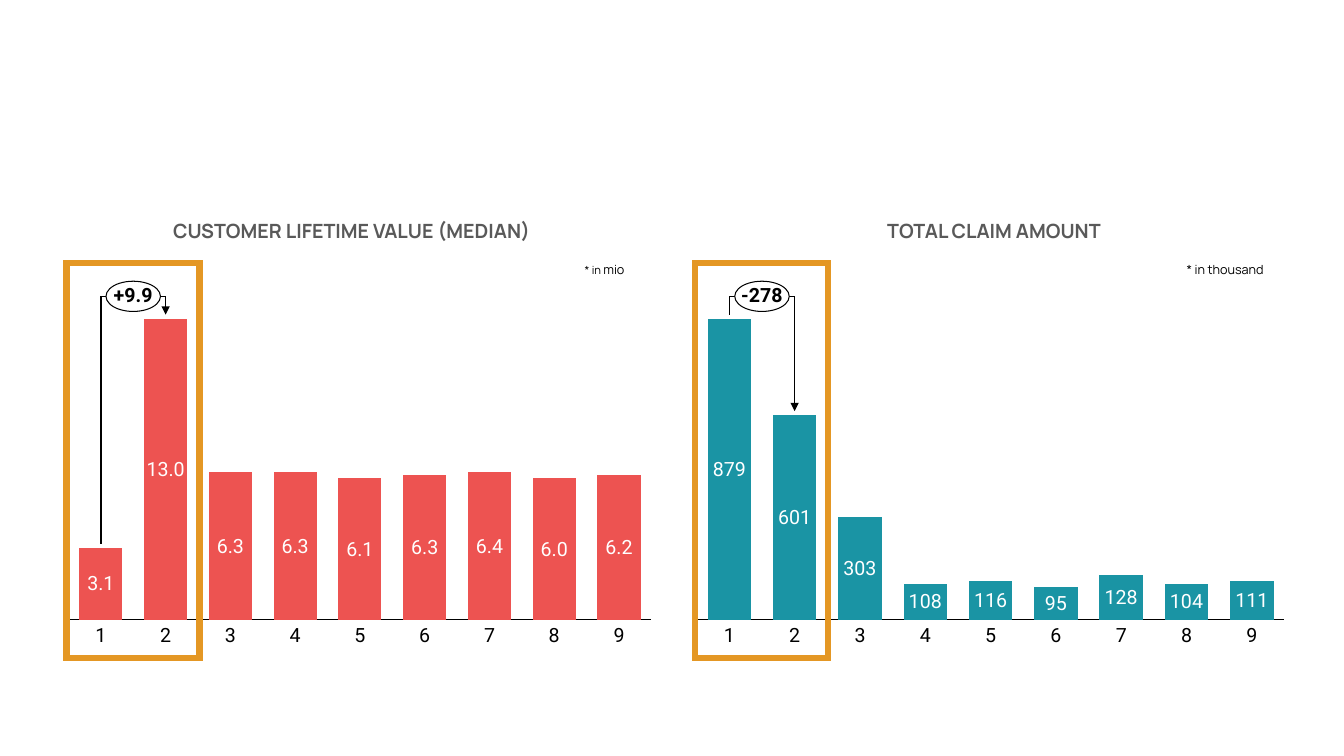
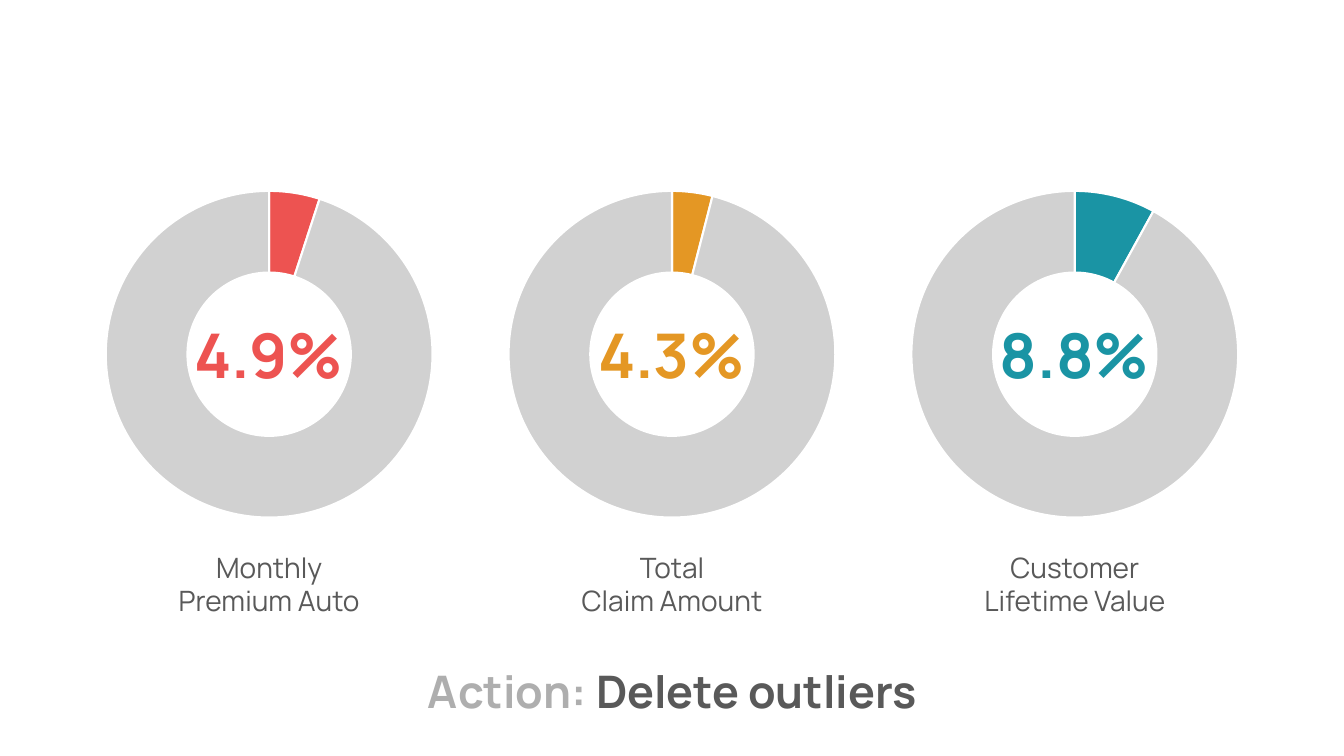
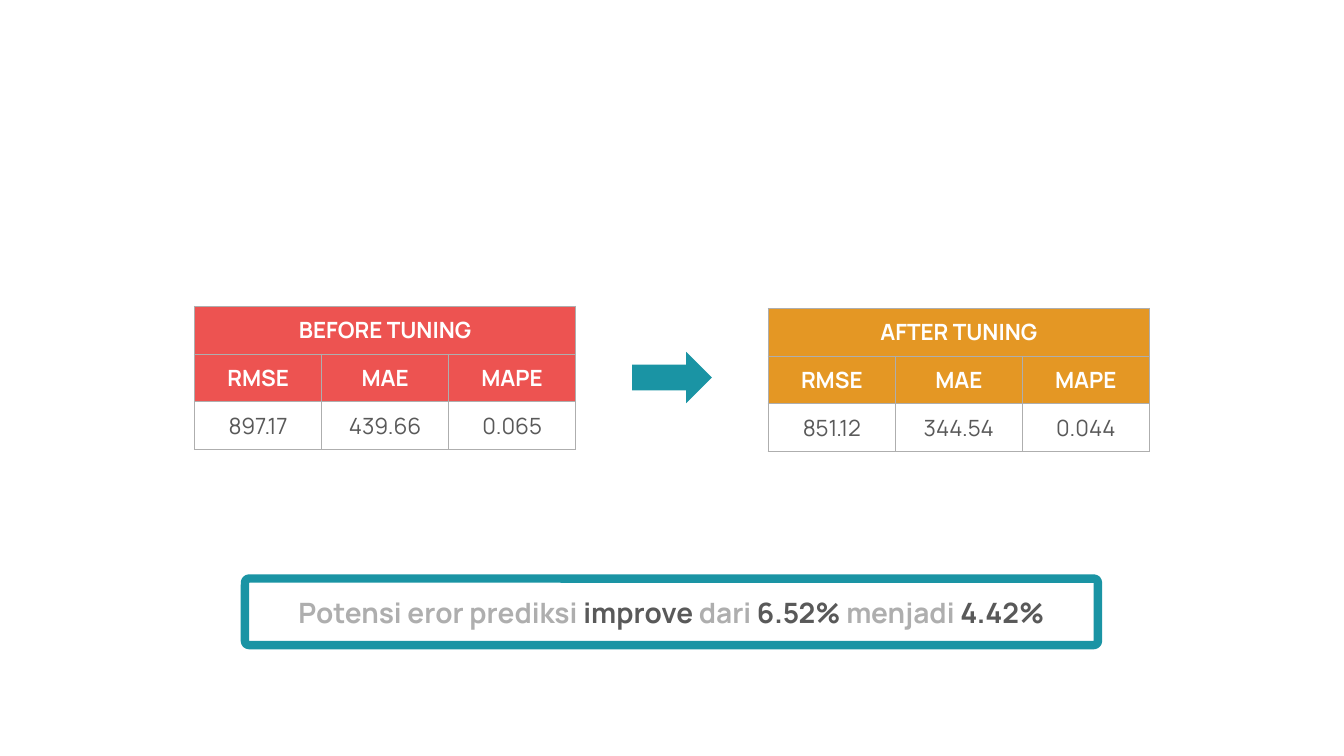
from lxml.etree import SubElement
from pptx import Presentation
from pptx.chart.data import CategoryChartData as ChartData
from pptx.dml.color import RGBColor
from pptx.enum.chart import XL_CHART_TYPE as ChartType, XL_TICK_LABEL_POSITION as TickLabel, XL_TICK_MARK as TickMark
from pptx.enum.shapes import MSO_CONNECTOR as Connector, MSO_SHAPE as Shape
from pptx.enum.text import MSO_ANCHOR as Anchor, PP_ALIGN as Align
from pptx.oxml import parse_xml
from pptx.oxml.ns import nsdecls, qn
from pptx.util import Emu, Pt

PX = 9144
WIDTH, HEIGHT = 1333, 750
RED = RGBColor(0xED, 0x53, 0x51)
ORANGE = RGBColor(0xE4, 0x97, 0x24)
TEAL = RGBColor(0x1A, 0x94, 0xA4)
BLACK = RGBColor(0, 0, 0)
WHITE = RGBColor(0xFF, 0xFF, 0xFF)
DARK = RGBColor(0x59, 0x59, 0x59)
MUTED = RGBColor(0xAE, 0xAE, 0xAE)
RING = RGBColor(0xD1, 0xD1, 0xD1)

TITLE = {"name": "Manrope", "size": Pt(14), "bold": True, "color": DARK}
NOTE = {"name": "Manrope", "size": Pt(9), "color": BLACK}
SMALL_NOTE = {**NOTE, "size": Pt(8)}
BAR_VALUE = {"name": "Roboto", "size": Pt(14), "color": WHITE}
BAR_NAME = {**BAR_VALUE, "color": BLACK}
CHANGE = {**BAR_NAME, "bold": True}
CAPTION = {"name": "Manrope", "size": Pt(20), "color": DARK}
HEAD = {"name": "Manrope", "size": Pt(16), "bold": True, "color": WHITE}
BODY = {**HEAD, "bold": False, "color": DARK}
STRONG = {**CAPTION, "bold": True}
SOFT = {**STRONG, "color": MUTED}


def px(*lengths):
    """Turn px lengths into EMU."""
    return [Emu(round(length * PX)) for length in lengths]


def write(frame, lines, align=Align.CENTER, spacing=None):
    """Fill a text frame with lines, each a list of (text, format) spans."""
    for index, line in enumerate(lines):
        para = frame.add_paragraph() if index else frame.paragraphs[0]
        para.alignment = align
        para.line_spacing = spacing
        for text, formats in line:
            span = para.add_run()
            span.text = text
            for key, value in formats.items():
                if key == "color":
                    span.font.color.rgb = value
                else:
                    setattr(span.font, key, value)


def add_text(page, box, lines, align=Align.CENTER, anchor=Anchor.MIDDLE):
    """Add a wrapping text box."""
    frame = page.shapes.add_textbox(*px(*box)).text_frame
    frame.word_wrap = True
    frame.vertical_anchor = anchor
    write(frame, lines, align)


def make_tight(frame, anchor=Anchor.MIDDLE):
    """Strip margins and wrapping from a text frame."""
    tight = {"word_wrap": False, "vertical_anchor": anchor, "margin_left": 0,
             "margin_right": 0, "margin_top": 0, "margin_bottom": 0}
    for key, value in tight.items():
        setattr(frame, key, value)


def add_label(page, center, top, text, formats, anchor=Anchor.MIDDLE):
    """Add a tight one-line label centred on a bar."""
    frame = page.shapes.add_textbox(*px(center - 21, top, 42, 21)).text_frame
    make_tight(frame, anchor)
    write(frame, [[(text, formats)]], spacing=0.9)


def add_block(page, kind, box, fill=None, line=None, weight=0):
    """Add a preset shape with plain fill and outline."""
    block = page.shapes.add_shape(kind, *px(*box))
    block.shadow.inherit = False
    if fill is None:
        block.fill.background()
    else:
        block.fill.solid()
        block.fill.fore_color.rgb = fill
    if line is None:
        block.line.fill.background()
    else:
        block.line.color.rgb = line
        block.line.width = Pt(weight)
    return block


def add_panel(page, kind, box, lines, line=None, weight=0):
    """Add a white shape that holds centred text."""
    panel = add_block(page, kind, box, WHITE, line, weight)
    panel.text_frame.word_wrap = True
    panel.text_frame.vertical_anchor = Anchor.MIDDLE
    write(panel.text_frame, lines)
    return panel


def add_line(page, start, end, arrow=False):
    """Add a thin black line, with an arrowhead at its end if asked."""
    line = page.shapes.add_connector(Connector.STRAIGHT, *px(*start, *end))
    line.line.color.rgb = BLACK
    line.line.width = Pt(1)
    properties = line.element.spPr
    if arrow:
        SubElement(properties.find(qn("a:ln")), qn("a:tailEnd"), type="triangle")
    SubElement(properties, qn("a:effectLst"))


def add_plot(page, kind, box, names, values, layout):
    """Add a one-series chart whose inner plot area has a fixed layout."""
    data = ChartData()
    data.categories = names
    data.add_series("Series 1", values)
    chart = page.shapes.add_chart(kind, *px(*box), data).chart
    chart.has_legend = False
    chart.has_title = False
    chart.font.name = "Roboto"
    chart.font.size = Pt(10)
    chart.font.color.rgb = BLACK
    area = chart.element.find(qn("c:chart")).find(qn("c:plotArea"))
    for old in area.findall(qn("c:layout")):
        area.remove(old)
    parts = "".join(f'<c:{key} val="{value}"/>' for key, value in zip("xywh", layout))
    area.insert(0, parse_xml(
        f'<c:layout {nsdecls("c")}><c:manualLayout><c:layoutTarget val="inner"/>'
        f'<c:xMode val="edge"/><c:yMode val="edge"/>{parts}</c:manualLayout></c:layout>'))
    return chart


def add_bar_chart(page, box, names, values, color):
    """Add the column chart and return bar centres, bar tops and the baseline."""
    layout = (0.015, 0.029, 0.97, 0.943)
    chart = add_plot(page, ChartType.COLUMN_STACKED, box, names, values, layout)
    value_axis, name_axis = chart.value_axis, chart.category_axis
    value_axis.minimum_scale, value_axis.maximum_scale = 0, 100
    value_axis.has_major_gridlines = False
    value_axis.visible = False
    name_axis.tick_label_position = TickLabel.NONE
    name_axis.major_tick_mark = name_axis.minor_tick_mark = TickMark.NONE
    name_axis.format.line.color.rgb = BLACK
    name_axis.format.line.width = Pt(0.75)
    plot = chart.plots[0]
    plot.gap_width, plot.overlap, plot.vary_by_categories = 50, 100, False
    fill = plot.series[0].format.fill
    fill.solid()
    fill.fore_color.rgb = color
    left, top, width, height = box
    slot = width * layout[2] / len(values)
    base = top + height * (layout[1] + layout[3])
    centers = [left + width * layout[0] + slot * (index + 0.5) for index in range(len(values))]
    tops = [base - height * layout[3] * value / 100 for value in values]
    return centers, tops, base


def add_bar_panel(page, box, values, labels, color, change, title, note, offsets):
    """Build one column chart with labels, difference arrow and highlight."""
    left, top, width, height = box
    names = [str(number) for number in range(1, len(values) + 1)]
    centers, tops, base = add_bar_chart(page, box, names, values, color)
    first, second = centers[:2]
    bend = top - 13
    add_line(page, (second, bend), (second, tops[1] - 4), arrow=True)
    add_line(page, (first, bend), (second, bend))
    add_line(page, (first, tops[0] - 4), (first, bend))
    for name, label, center, bar_top in zip(names, labels, centers, tops):
        add_label(page, center, (base + bar_top) / 2 - 10, label, BAR_VALUE)
        add_label(page, center, top + 314, name, BAR_NAME, Anchor.TOP)
    oval = add_block(page, Shape.OVAL, ((first + second) / 2 - 27, bend - 15, 54, 30), WHITE, BLACK, 0.75)
    make_tight(oval.text_frame)
    write(oval.text_frame, [[(change, CHANGE)]], spacing=0.9)
    highlight = add_block(page, Shape.RECTANGLE, (left + 7, top - 46, 132, 392), None, ORANGE, 4.5)
    SubElement(highlight.element.spPr.find(qn("a:ln")), qn("a:miter"), lim="800000")
    title_offset, note_offset = offsets
    add_text(page, (left + note_offset, top - 52, 125, 25), [note], Align.LEFT, Anchor.TOP)
    add_text(page, (left + title_offset, top - 108, 594, 60), [[(title, TITLE)]])


def add_ring(page, box, share, color, value, caption):
    """Build one doughnut with its value in the hole and a caption below."""
    left, top, width, height = box
    chart = add_plot(page, ChartType.DOUGHNUT, box, ["1", "2"], [share, 100 - share],
                     (0.135, 0.037, 0.73, 0.926))
    chart.plots[0].vary_by_categories = False
    chart.element.find(f".//{qn('c:holeSize')}").set("val", "60")
    for index, fill_color in enumerate((color, RING)):
        look = chart.plots[0].series[0].points[index].format
        look.fill.solid()
        look.fill.fore_color.rgb = fill_color
        look.line.color.rgb = WHITE
        look.line.width = Pt(1.5)
    inner = left + (width - 238) / 2
    add_text(page, (inner, top + 110, 238, 131),
             [[(value, {**STRONG, "size": Pt(44), "color": color})]])
    add_panel(page, Shape.RECTANGLE, (inner, top + 353, 238, 100),
              [[(line, CAPTION)] for line in caption])


def set_borders(cell):
    """Draw grey lines on all four sides of a cell."""
    properties = cell._tc.get_or_add_tcPr()
    for index, side in enumerate("LRTB"):
        properties.insert(index, parse_xml(
            f'<a:ln{side} {nsdecls("a")} w="12700"><a:solidFill>'
            f'<a:srgbClr val="{MUTED}"/></a:solidFill></a:ln{side}>'))


def add_score_table(page, box, title, scores, color):
    """Build a score table with a merged heading row."""
    rows = [[title, "", ""], ["RMSE", "MAE", "MAPE"], scores]
    table = page.shapes.add_table(3, 3, *px(*box)).table
    table.first_row = table.horz_banding = False
    table.cell(0, 0).merge(table.cell(0, 2))
    for row, texts in enumerate(rows):
        formats, fill = (BODY, WHITE) if row == 2 else (HEAD, color)
        for column, text in enumerate(texts):
            cell = table.cell(row, column)
            cell.vertical_anchor = Anchor.MIDDLE
            cell.fill.solid()
            cell.fill.fore_color.rgb = fill
            set_borders(cell)
            if text:
                write(cell.text_frame, [[(text, formats)]])


def build_bars(page):
    """Build the slide that compares two column charts."""
    add_bar_panel(page, (682, 307, 601, 317), [100, 68, 34, 12, 13, 11, 15, 12, 13],
                  ["879", "601", "303", "108", "116", "95", "128", "104", "111"], TEAL, "-278",
                  "TOTAL CLAIM AMOUNT", [("* in thousand", NOTE)], (7, 485))
    add_bar_panel(page, (59, 307, 596, 317), [24, 100, 49, 49, 47, 48, 49, 47, 48],
                  ["3.1", "13.0", "6.3", "6.3", "6.1", "6.3", "6.4", "6.0", "6.2"], RED, "+9.9",
                  "CUSTOMER LIFETIME VALUE (MEDIAN)", [("* in ", SMALL_NOTE), ("mio", NOTE)], (-7, 511))


def build_rings(page):
    """Build the slide with three outlier doughnuts."""
    rings = [(5, RED, "4.9%", ["Monthly", "Premium Auto"]),
             (4, ORANGE, "4.3%", ["Total", "Claim Amount"]),
             (8, TEAL, "8.8%", ["Customer", "Lifetime Value"])]
    for index, ring in enumerate(rings):
        add_ring(page, (45 + index * 399.5, 176, 444, 351), *ring)
    add_panel(page, Shape.RECTANGLE, (387, 632, 560, 106),
              [[("Action: ", {**SOFT, "size": Pt(32)}),
                ("Delete outliers", {**STRONG, "size": Pt(32)})]])


def build_tuning(page):
    """Build the slide with scores before and after tuning."""
    add_score_table(page, (193, 304, 378, 142), "BEFORE TUNING", ["897.17", "439.66", "0.065"], RED)
    add_score_table(page, (762, 306, 378, 142), "AFTER TUNING", ["851.12", "344.54", "0.044"], ORANGE)
    add_block(page, Shape.RIGHT_ARROW, (627, 349, 79, 51), TEAL)
    banner = add_panel(page, Shape.ROUNDED_RECTANGLE, (243, 574, 846, 66),
                       [[("Potensi eror prediksi ", SOFT), ("improve ", STRONG), ("dari ", SOFT),
                         ("6.52% ", STRONG), ("menjadi ", SOFT), ("4.42%", STRONG)]], TEAL, 6)
    banner.adjustments[0] = 0.06


def main():
    """Build the deck and save it."""
    deck = Presentation()
    deck.slide_width, deck.slide_height = px(WIDTH, HEIGHT)
    for build in (build_bars, build_rings, build_tuning):
        build(deck.slides.add_slide(deck.slide_layouts[6]))
    deck.save("out.pptx")


if __name__ == "__main__":
    main()
